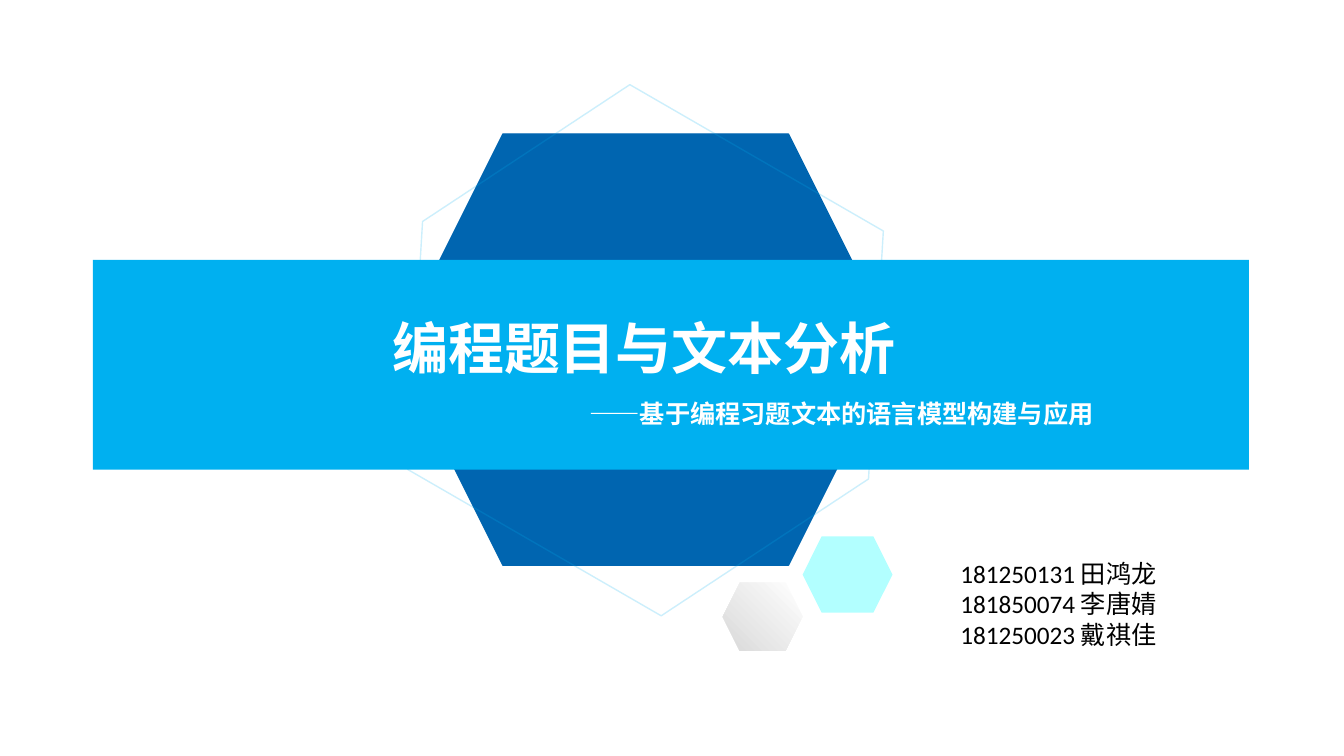
from dataclasses import dataclass

from lxml.etree import SubElement
from pptx import Presentation
from pptx.dml.color import RGBColor
from pptx.enum.shapes import MSO_SHAPE
from pptx.enum.text import MSO_AUTO_SIZE, PP_ALIGN
from pptx.oxml.ns import qn
from pptx.util import Inches, Pt

COLUMNS, ROWS = 32, 18
CELL = Inches(7.5) / ROWS


@dataclass(frozen=True)
class Theme:
    """Colours, fonts and type sizes of the cover."""
    navy: str = "0065B0"
    sky: str = "00B0F0"
    aqua: str = "B2FFFF"
    white: str = "FFFFFF"
    grey: str = "D9D9D9"
    black: str = "000000"
    heading_font: str = "Noto Sans CJK TC"
    body_font: str = "Calibri"
    title_size: int = 40
    text_size: int = 18


THEME = Theme()


@dataclass(frozen=True)
class Box:
    """An area in grid columns and rows."""
    left: float
    top: float
    width: float
    height: float

    def area(self, left, top, width, height):
        """Return a box placed from this box's top-left corner."""
        return Box(self.left + left, self.top + top, width, height)

    def lengths(self):
        """Return left, top, width and height in slide units."""
        return [round(n * CELL) for n in (self.left, self.top, self.width, self.height)]


def add_plain(slide, preset, box, fill=None, line=None):
    """Add a shadowless preset shape with optional fill and line."""
    plain = slide.shapes.add_shape(preset, *box.lengths())
    plain.shadow.inherit = False
    if fill:
        plain.fill.solid()
        plain.fill.fore_color.rgb = RGBColor.from_string(fill)
    else:
        plain.fill.background()
    if line:
        plain.line.width = Pt(1)
        plain.line.color.rgb = RGBColor.from_string(line)
    else:
        plain.line.fill.background()
    return plain


def add_lines(slide, box, lines, size, color, font_name, bold=False,
              align=PP_ALIGN.LEFT, wrap=True):
    """Add a text box with one paragraph per line."""
    frame = slide.shapes.add_textbox(*box.lengths()).text_frame
    frame.word_wrap = wrap
    frame.auto_size = MSO_AUTO_SIZE.SHAPE_TO_FIT_TEXT
    frame.text = "\n".join(lines)
    for paragraph in frame.paragraphs:
        paragraph.alignment = align
        font = paragraph.font
        font.size, font.bold, font.name = Pt(size), bold, font_name
        font.color.rgb = RGBColor.from_string(color)
        east_asian = SubElement(paragraph.runs[0].font._element, qn("a:ea"))
        east_asian.set("typeface", THEME.heading_font)


def add_emblem(slide, box):
    """Draw the large hexagon and its faint turned outline."""
    add_plain(slide, MSO_SHAPE.HEXAGON, box.area(0.17, 0.14, 11.93, 10.27),
              THEME.navy, THEME.navy)
    outline = add_plain(slide, MSO_SHAPE.HEXAGON, box, line=THEME.sky)
    outline.rotation = 30
    tint = outline.line.color._xFill.find(qn("a:srgbClr"))
    SubElement(tint, qn("a:alpha")).set("val", "20000")


def add_banner(slide, box):
    """Draw the band with the title and subtitle."""
    add_plain(slide, MSO_SHAPE.RECTANGLE, box, THEME.sky)
    add_lines(slide, box.area(6.82, 1.15, 12.6, 1.85), ["编程题目与文本分析"],
              THEME.title_size, THEME.white, THEME.heading_font,
              bold=True, align=PP_ALIGN.CENTER, wrap=False)
    add_lines(slide, box.area(2.74, 3.17, 21.46, 0.96),
              ["——基于编程习题文本的语言模型构建与应用 "],
              THEME.text_size, THEME.white, THEME.heading_font,
              bold=True, align=PP_ALIGN.RIGHT)


def add_accents(slide, box):
    """Draw the two small hexagons."""
    add_plain(slide, MSO_SHAPE.HEXAGON, box.area(1.9, 0, 2.14, 1.82), THEME.aqua)
    shaded = add_plain(slide, MSO_SHAPE.HEXAGON, box.area(0, 1.1, 1.9, 1.63))
    shaded.fill.gradient()
    shaded.fill.gradient_angle = 225
    for stop, color, position in zip(shaded.fill.gradient_stops,
                                     (THEME.white, THEME.grey), (0, 1)):
        stop.color.rgb = RGBColor.from_string(color)
        stop.position = position


def add_authors(slide, box):
    """List the student numbers and names."""
    add_lines(slide, box, ["181250131 田鸿龙", "181850074 李唐婧", "181250023 戴祺佳"],
              THEME.text_size, THEME.black, THEME.body_font)


def add_cover(slide, page):
    """Place the regions of the cover on the page."""
    add_emblem(slide, page.area(9.24, 3.05, 12.26, 10.58))
    add_banner(slide, page.area(2.21, 6.19, 27.53, 4.99))
    add_accents(slide, page.area(17.21, 12.77, 4.04, 2.73))
    add_authors(slide, page.area(22.63, 13.18, 7.13, 2.42))


presentation = Presentation()
presentation.slide_width = round(COLUMNS * CELL)
presentation.slide_height = round(ROWS * CELL)
cover = presentation.slides.add_slide(presentation.slide_layouts[6])
add_cover(cover, Box(0, 0, COLUMNS, ROWS))
presentation.save("out.pptx")
